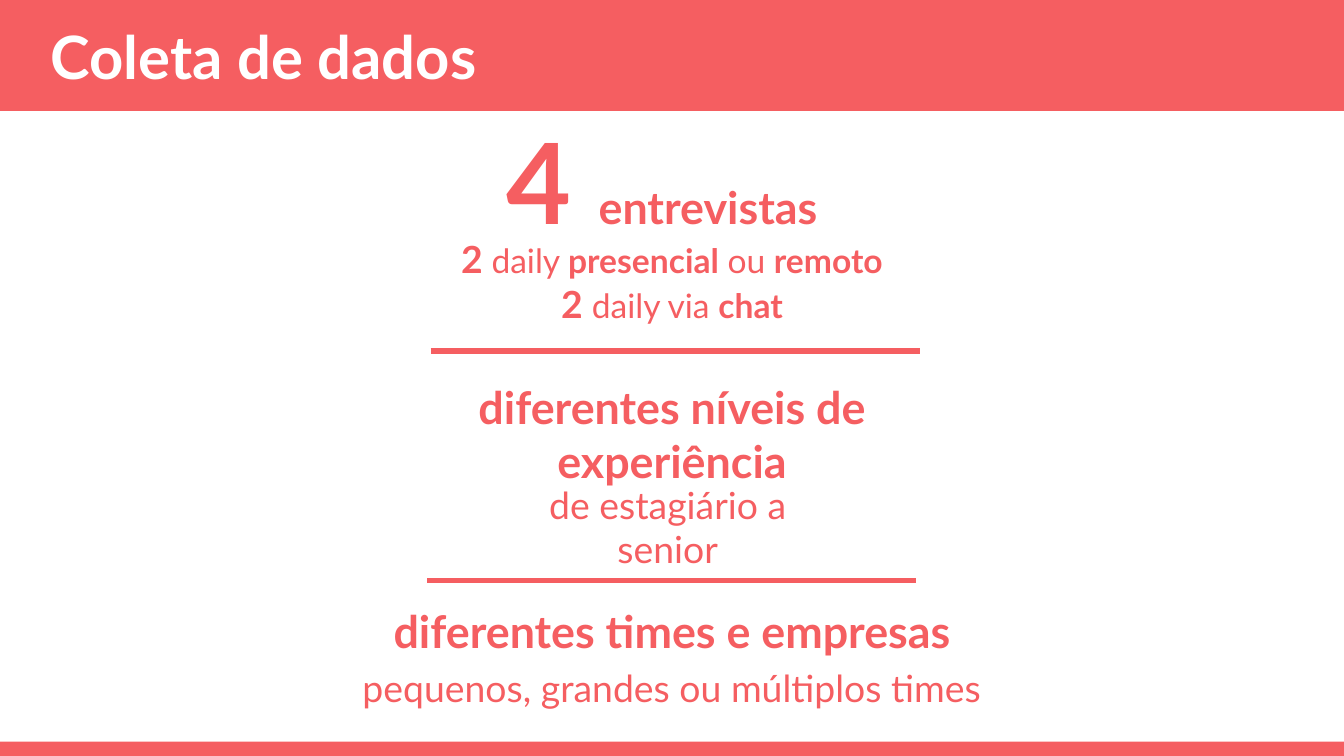
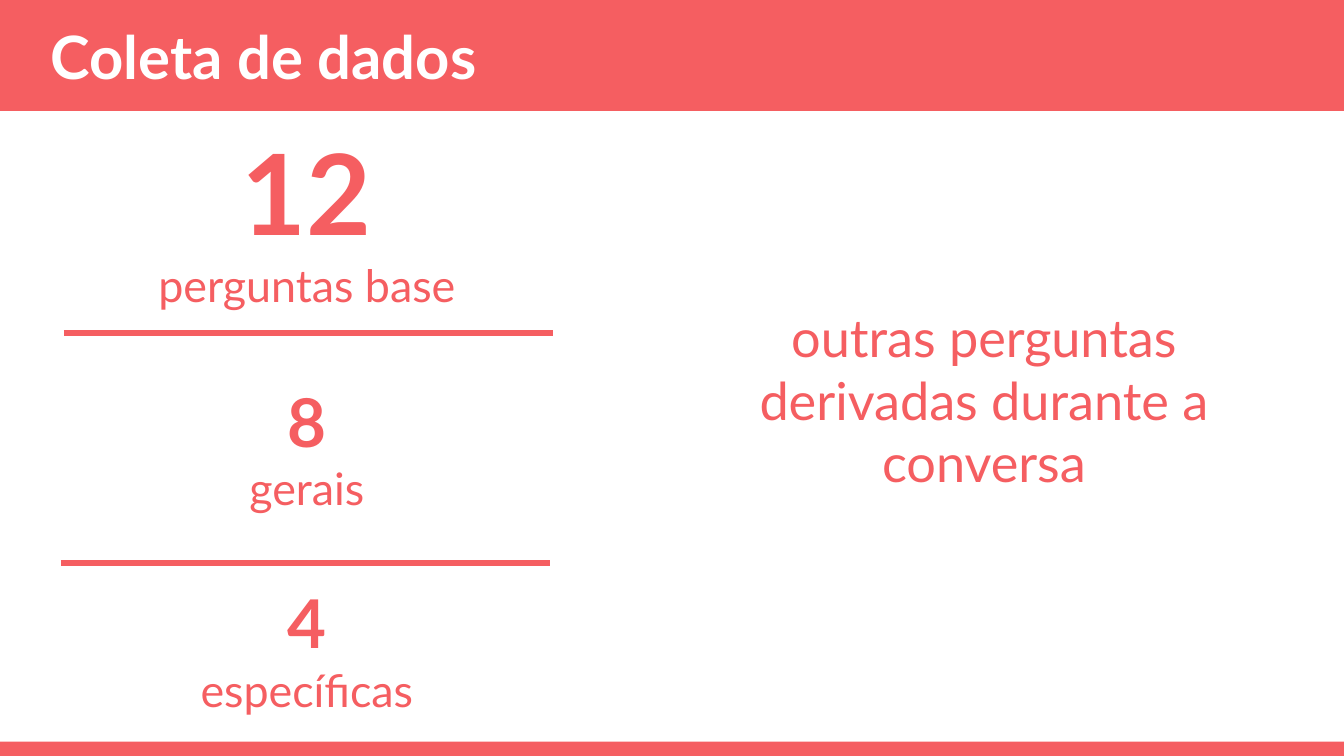
import collections

import pptx
import pptx.dml.color
import pptx.enum.shapes
import pptx.enum.text
import pptx.oxml.ns
import pptx.util
from lxml import etree

Cm = pptx.util.Cm
Box = collections.namedtuple("Box", "left top width height")

CORAL = "F55E61"
WHITE = "FFFFFF"
FONT = "Lato"
SLIDE = Box(0, 0, 25.4, 14.29)
HEADER = Box(0, -0.08, 25.4, 2.18)
FOOTER = Box(0, 14.02, 25.4, 0.27)
INTERVIEWS = Box(5.41, 2.11, 14.58, 11.91)
QUESTIONS = Box(1.15, 2.11, 9.24, 11.91)
FOLLOW_UP = Box(14.05, 3.38, 9.09, 8.33)
RULE_WIDTH = 9.24
RULE_STEP = 4.34
RULE_SHIFTS = (0.06, 0)

INTERVIEW_TEXTS = [
    (-0.19, 0.23, 6.78, 2.11, [[("4 ", 60, True), ("entrevistas", 24, True)]]),
    (0, 2.34, 13, 1.73, [
        [("2", 20, True), (" daily ", 18, False), ("presencial", 18, True),
         (" ou ", 18, False), ("remoto", 18, True)],
        [("2 ", 20, True), ("daily via ", 18, False), ("chat", 18, True)],
    ]),
    (0, 5.03, 9.83, 2.11, [[("diferentes níveis de experiência", 24, True)]]),
    (-0.08, 7.31, 7, 1.07, [[("de estagiário a senior", 20, False)]]),
    (0, 9.14, 11.96, 1.35, [[("diferentes times e empresas", 24, True)]]),
    (0, 10.36, 14.58, 1.07, [[("pequenos, grandes ou múltiplos times", 20, False)]]),
]
QUESTION_TEXTS = [
    (0.03, 0.2, 6.78, 3.61, [[("12 ", 60, True), ("perguntas base", 24, False)]]),
    (0.03, 4.54, 6.78, 3.61, [[("8", 36, True)], [("gerais", 24, False)]]),
    (0.03, 8.76, 6.78, 2.79, [[("4", 36, True)], [("específicas", 24, False)]]),
]


def color(value):
    return pptx.dml.color.RGBColor.from_string(value)


def apply(target, values):
    for name, value in values.items():
        setattr(target, name, value)


def lengths(box):
    return [Cm(value) for value in box]


def add_band(page, box):
    band = page.shapes.add_shape(
        pptx.enum.shapes.MSO_SHAPE.RECTANGLE, *lengths(box))
    band.shadow.inherit = False
    band.fill.solid()
    band.fill.fore_color.rgb = color(CORAL)
    band.line.fill.background()


def add_text(page, box, paragraphs, tint=CORAL, align="CENTER"):
    frame = page.shapes.add_textbox(*lengths(box)).text_frame
    inset = Cm(0.25)
    apply(frame, {
        "word_wrap": True,
        "vertical_anchor": pptx.enum.text.MSO_ANCHOR.MIDDLE,
        "margin_left": inset, "margin_right": inset,
        "margin_top": inset, "margin_bottom": inset,
    })
    for index, spans in enumerate(paragraphs):
        para = frame.add_paragraph() if index else frame.paragraphs[0]
        para.alignment = pptx.enum.text.PP_ALIGN[align]
        for text, size, bold in spans:
            span = para.add_run()
            span.text = text
            apply(span.font, {
                "name": FONT, "size": pptx.util.Pt(size), "bold": bold})
            span.font.color.rgb = color(tint)


def add_rule(page, left, top, width):
    rule = page.shapes.add_connector(
        pptx.enum.shapes.MSO_CONNECTOR.STRAIGHT,
        Cm(left), Cm(top), Cm(left + width), Cm(top))
    rule.line.color.rgb = color(CORAL)
    rule.line.width = pptx.util.Pt(3)
    properties = rule._element.spPr
    etree.SubElement(properties, pptx.oxml.ns.qn("a:effectLst"))


def add_column(page, box, texts, first_rule):
    center = box.left + box.width / 2
    for shift, top, width, height, paragraphs in texts:
        place = Box(center + shift - width / 2, box.top + top, width, height)
        add_text(page, place, paragraphs)
    for index, shift in enumerate(RULE_SHIFTS):
        add_rule(page, center + shift - RULE_WIDTH / 2,
                 box.top + first_rule + index * RULE_STEP, RULE_WIDTH)


def add_header(page, box, title):
    add_band(page, box)
    place = Box(box.left + 0.71, box.top + 0.08, 12.19, 2.11)
    add_text(page, place, [[(title, 32, True)]], WHITE, "LEFT")


def add_page(deck):
    page = deck.slides.add_slide(deck.slide_layouts[6])
    add_band(page, FOOTER)
    add_header(page, HEADER, "Coleta de dados")
    return page


def add_interviews(deck):
    page = add_page(deck)
    add_column(page, INTERVIEWS, INTERVIEW_TEXTS, 4.52)


def add_questions(deck):
    page = add_page(deck)
    add_column(page, QUESTIONS, QUESTION_TEXTS, 4.19)
    add_text(page, FOLLOW_UP, [
        [("outras perguntas derivadas durante a conversa", 28, False)]])


def main():
    deck = pptx.Presentation()
    apply(deck, {"slide_width": Cm(SLIDE.width), "slide_height": Cm(SLIDE.height)})
    add_interviews(deck)
    add_questions(deck)
    deck.save("out.pptx")


if __name__ == "__main__":
    main()
